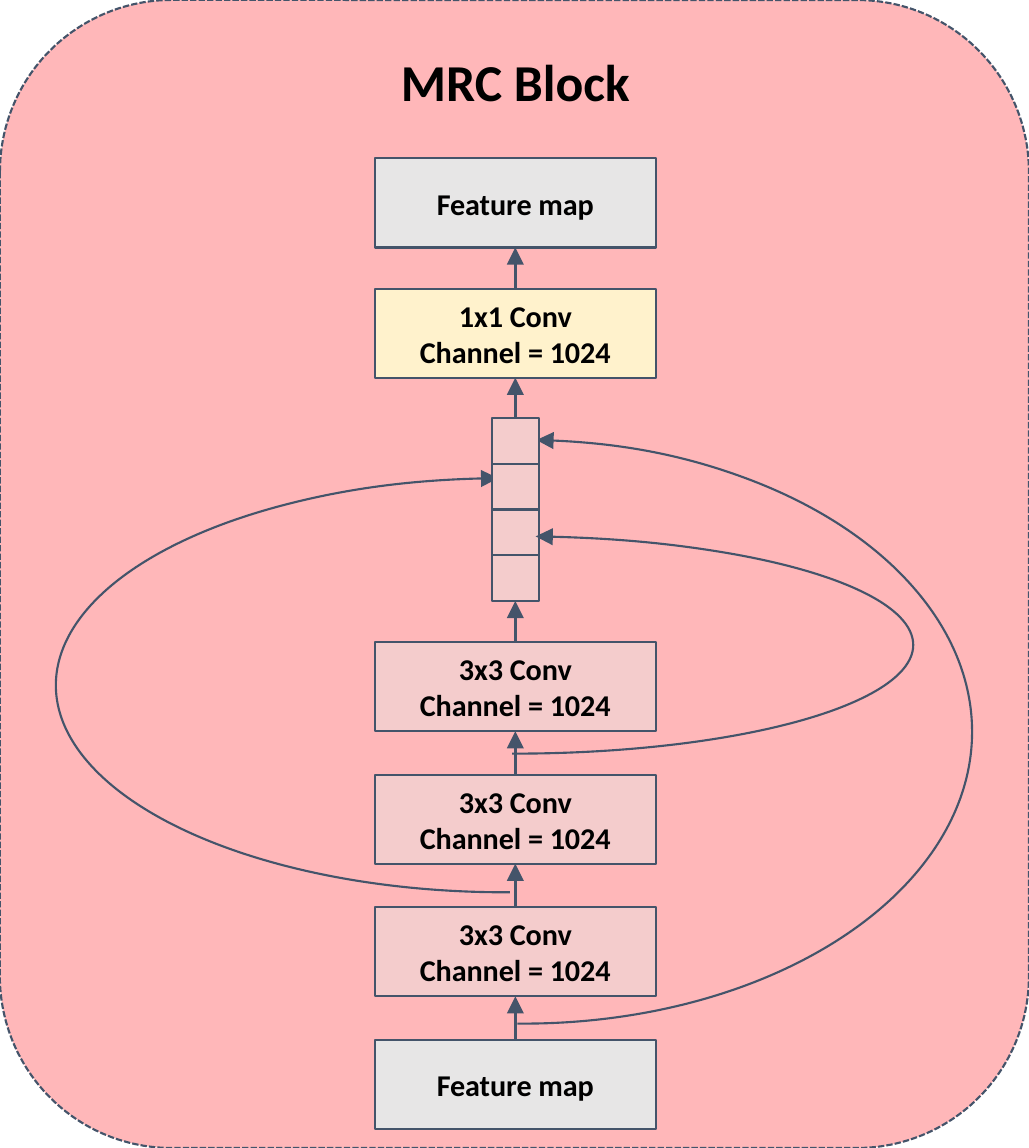
from lxml import etree
from pptx import Presentation
from pptx import util as u
from pptx.dml.color import RGBColor
from pptx.enum import dml, shapes, text
from pptx.oxml.ns import qn

COLORS = {
    "panel": "FF7C80", "line": "44546A", "text": "000000",
    "feature": "E7E6E6", "conv3": "F4CCCC", "conv1": "FFF2CC",
}
WIDTH, HEIGHT = 357.8, 399.2
CENTER = 179.2
BLOCK_WIDTH, BLOCK_HEIGHT = 97.8, 31
CELL_WIDTH, CELL_HEIGHT, CELLS_TOP = 16.5, 15.9, 145.4

deck = Presentation()
deck.slide_width, deck.slide_height = u.Pt(WIDTH), u.Pt(HEIGHT)
page = deck.slides.add_slide(deck.slide_layouts[5])


def add_box(kind, left, top, width, height, fill=None):
    """Add an outlined preset shape without shadow, filled if a colour is named."""
    box = page.shapes.add_shape(kind, u.Pt(left), u.Pt(top), u.Pt(width), u.Pt(height))
    box.shadow.inherit = False
    box.line.color.rgb = RGBColor.from_string(COLORS["line"])
    box.line.width = u.Pt(0.75)
    if fill:
        box.fill.solid()
        box.fill.fore_color.rgb = RGBColor.from_string(COLORS[fill])
    else:
        box.fill.background()
    return box


def write_lines(frame, lines, size):
    """Fill a text frame with centred bold paragraphs."""
    frame.vertical_anchor = text.MSO_ANCHOR.MIDDLE
    for index, line in enumerate(lines):
        para = frame.add_paragraph() if index else frame.paragraphs[0]
        para.alignment = text.PP_ALIGN.CENTER
        span = para.add_run()
        span.text = line
        span.font.name = "Calibri"
        span.font.size = u.Pt(size)
        span.font.bold = True
        span.font.color.rgb = RGBColor.from_string(COLORS["text"])


# Background panel
panel = add_box(shapes.MSO_SHAPE.ROUNDED_RECTANGLE, 0, 0, WIDTH, HEIGHT, "panel")
panel.adjustments[0] = 0.167
panel.line.dash_style = dml.MSO_LINE.SQUARE_DOT
panel_color = panel._element.spPr.find(qn("a:solidFill")).find(qn("a:srgbClr"))
etree.SubElement(panel_color, qn("a:alpha"), val="55000")

# Blocks, from the bottom up
conv3 = ["3x3 Conv", "Channel = 1024"]
blocks = []
for top, fill, lines in [
    (361.6, "feature", ["Feature map"]),
    (315.5, "conv3", conv3),
    (269.4, "conv3", conv3),
    (223.3, "conv3", conv3),
    (100.4, "conv1", ["1x1 Conv", "Channel = 1024"]),
    (55.1, "feature", ["Feature map"]),
]:
    block = add_box(shapes.MSO_SHAPE.RECTANGLE, CENTER - BLOCK_WIDTH / 2, top,
                    BLOCK_WIDTH, BLOCK_HEIGHT, fill)
    frame = block.text_frame
    frame.word_wrap = True
    frame.margin_left = frame.margin_right = u.Pt(7.2)
    frame.margin_top = frame.margin_bottom = u.Pt(7.2)
    write_lines(frame, lines, 10.5)
    blocks.append(block)

# Skip connections: left, top, width, height, rotation, flips, end angle
arcs = []
for left, top, width, height, rotation, flips, end in [
    (80.6, 98.6, 203, 311.8, 270, ["flipV"], 214.5),
    (103.7, 82.1, 144, 312.5, 90, ["flipH", "flipV"], 214.83),
    (141.1, 85.7, 75.6, 277.2, 270, ["flipV"], 209.4),
]:
    arc = add_box(shapes.MSO_SHAPE.ARC, left, top, width, height)
    arc.rotation = rotation
    arc.adjustments[0], arc.adjustments[1] = 107.24, end
    for flip in flips:
        arc._element.spPr.find(qn("a:xfrm")).set(flip, "1")
    etree.SubElement(arc.line._get_or_add_ln(), qn("a:tailEnd"), type="triangle")
    arcs.append(arc)

# Concatenated feature cells, from the top down
cells = [
    add_box(shapes.MSO_SHAPE.RECTANGLE, CENTER - CELL_WIDTH / 2,
            CELLS_TOP + row * CELL_HEIGHT, CELL_WIDTH, CELL_HEIGHT, "conv3")
    for row in range(4)
]
page.shapes._spTree.append(arcs[-1]._element)

# Upward arrows
feature_in, conv_a, conv_b, conv_c, conv_out, feature_out = blocks
for lower, upper in [
    (feature_in, conv_a), (conv_a, conv_b), (conv_b, conv_c),
    (conv_c, cells[-1]), (cells[0], conv_out), (conv_out, feature_out),
]:
    arrow = page.shapes.add_connector(shapes.MSO_CONNECTOR.STRAIGHT, 0, 0, 0, 0)
    arrow.begin_connect(lower, 0)
    arrow.end_connect(upper, 2)
    arrow.line.color.rgb = RGBColor.from_string(COLORS["line"])
    arrow.line.width = u.Pt(1)
    etree.SubElement(arrow.line._get_or_add_ln(), qn("a:tailEnd"), type="triangle")
    etree.SubElement(arrow._element.spPr, qn("a:effectLst"))

# Title, in front of the panel
title = page.shapes.title
title.left, title.top, title.width, title.height = map(u.Pt, (127.4, 13.7, 103.7, 29))
title.text_frame.word_wrap = False
write_lines(title.text_frame, ["MRC Block"], 18)
page.shapes._spTree.append(title._element)

deck.save("out.pptx")
